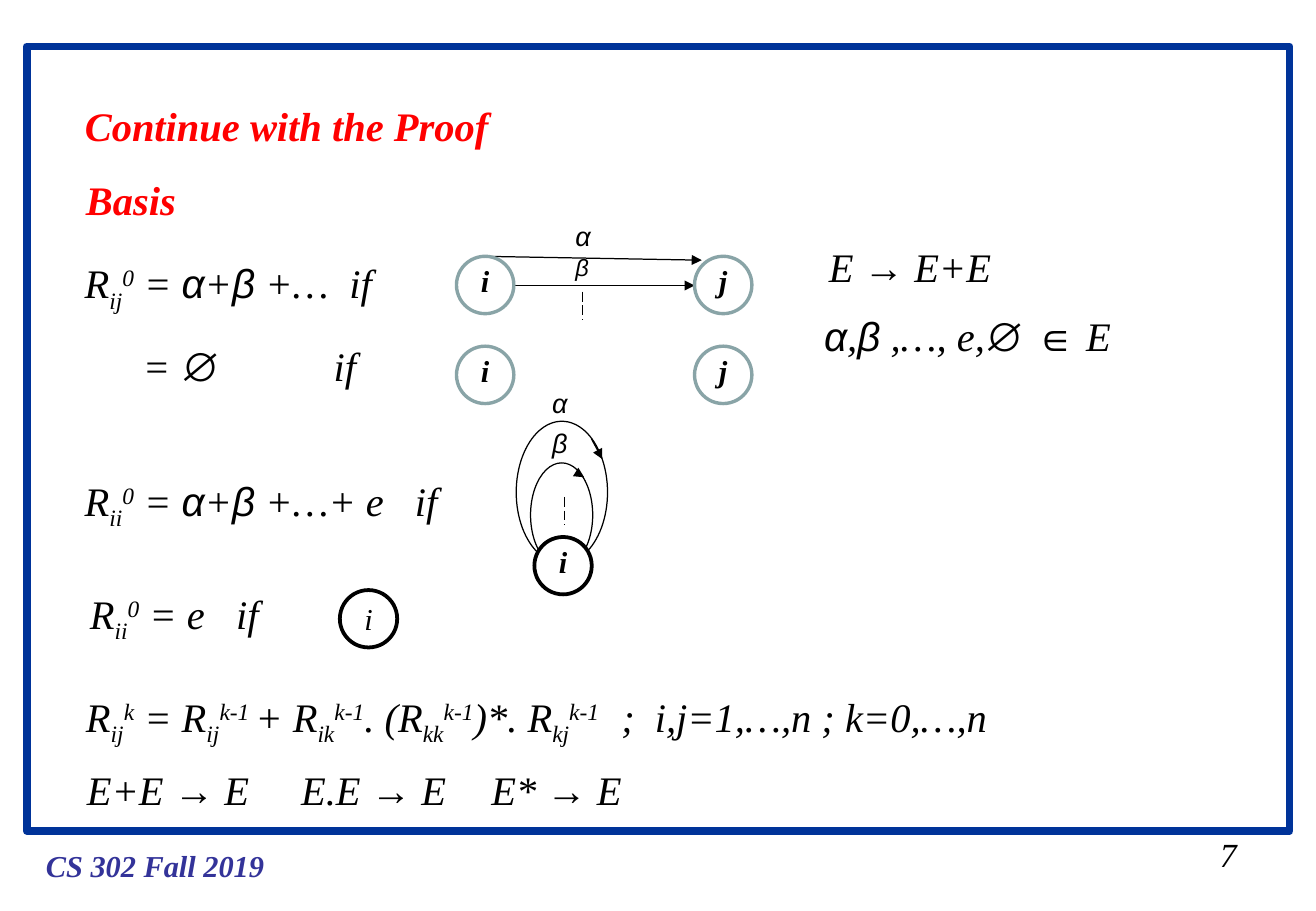
from dataclasses import dataclass
from itertools import groupby

from lxml import etree
from pptx import Presentation
from pptx.dml.color import RGBColor
from pptx.enum.dml import MSO_LINE
from pptx.enum.shapes import MSO_CONNECTOR, MSO_SHAPE
from pptx.enum.text import MSO_ANCHOR, MSO_AUTO_SIZE, PP_ALIGN
from pptx.oxml.ns import qn
from pptx.util import Cm, Pt

OVAL, RECT = MSO_SHAPE.OVAL, MSO_SHAPE.RECTANGLE
LEFT, CENTER = PP_ALIGN.LEFT, PP_ALIGN.CENTER
TOP, MIDDLE = MSO_ANCHOR.TOP, MSO_ANCHOR.MIDDLE
STRAIGHT, DASH = MSO_CONNECTOR.STRAIGHT, MSO_LINE.LONG_DASH
FIXED = MSO_AUTO_SIZE.NONE
TITLE_ONLY = 5
SUB, SUP = -25000, 30000
SYMBOLS = "αβ→∅∈"
NODE = 1.2


@dataclass(frozen=True)
class Theme:
    serif: str = "Times New Roman"
    sans: str = "Arial"
    ink: str = "000000"
    paper: str = "FFFFFF"
    head: str = "FF0000"
    frame: str = "003399"
    foot: str = "333399"
    ring: str = "89A4A7"
    body: int = 24
    page: int = 20
    label: int = 18
    greek: int = 16
    small: int = 14


THEME = Theme()


def color(code):
    return RGBColor.from_string(code)


def term(sub, sup):
    """Runs of R with a subscript and a superscript."""
    return [("R", 0), (sub, SUB), (sup, SUP)]


def write(frame, runs, size=THEME.body, ink=THEME.ink, bold=False,
          align=LEFT, anchor=TOP, wrap=True, space=None, tabs=()):
    """Fill a text frame; symbols take the sans font."""
    frame.auto_size, frame.word_wrap = FIXED, wrap
    frame.vertical_anchor = anchor
    para = frame.paragraphs[0]
    para.alignment = align
    if tabs:
        stops = etree.SubElement(para._p.get_or_add_pPr(), qn("a:tabLst"))
        for stop in tabs:
            etree.SubElement(stops, qn("a:tab"), pos=str(Cm(stop)), algn="l")
    if space:
        para.line_spacing = space
    for text, base in [(runs, 0)] if isinstance(runs, str) else runs:
        for sans, chars in groupby(text, lambda char: char in SYMBOLS):
            run = para.add_run()
            run.text = "".join(chars)
            font = run.font
            font.name = THEME.sans if sans else THEME.serif
            font.size, font.bold, font.italic = Pt(size), bold, True
            font.color.rgb = color(ink)
            if base:
                run._r.get_or_add_rPr().set("baseline", str(base))


def add_text(slide, runs, x, y, w=4, h=1.27, **style):
    box = slide.shapes.add_textbox(Cm(x), Cm(y), Cm(w), Cm(h))
    write(box.text_frame, runs, **style)


def add_title(slide, text, x, y, w, h, **style):
    title = slide.shapes.title
    title.left, title.top, title.width, title.height = map(Cm, (x, y, w, h))
    write(title.text_frame, text, **style)


def add_shape(slide, kind, x, y, w, h, ink=THEME.ink, width=0.75, fill=None):
    shape = slide.shapes.add_shape(kind, Cm(x), Cm(y), Cm(w), Cm(h))
    shape.shadow.inherit = False
    if fill:
        shape.fill.solid()
        shape.fill.fore_color.rgb = color(fill)
    else:
        shape.fill.background()
    shape.line.color.rgb = color(ink)
    shape.line.width = Pt(width)
    return shape


def add_node(slide, name, x, y, ink=THEME.ink, width=2.25, bold=True, lift=0.18):
    """Draw a state; lift raises its name above the centre."""
    node = add_shape(slide, OVAL, x, y, NODE, NODE, ink, width, THEME.paper)
    frame = node.text_frame
    frame.margin_left = frame.margin_right = frame.margin_top = 0
    frame.margin_bottom = Cm(lift)
    write(frame, name, size=THEME.label, bold=bold, align=CENTER,
          anchor=MIDDLE, wrap=False)


def add_line(slide, x1, y1, x2, y2, dash=False):
    """Draw an arrow, or a dashed line without a head."""
    line = slide.shapes.add_connector(STRAIGHT, Cm(x1), Cm(y1), Cm(x2), Cm(y2))
    line.line.color.rgb = color(THEME.ink)
    line.line.width = Pt(0.75)
    if dash:
        line.line.dash_style = DASH
    else:
        etree.SubElement(line.line._get_or_add_ln(), qn("a:tailEnd"), type="triangle")
    etree.SubElement(line._element.spPr, qn("a:effectLst"))


def add_edges(slide):
    """Draw the pair of states with edges and the pair without."""
    add_line(slide, 10.13, 5.36, 14.68, 5.44)
    add_line(slide, 10.74, 5.97, 14.53, 5.97)
    add_line(slide, 12.19, 6.1, 12.19, 6.68, dash=True)
    for y in (5.36, 7.24):
        for name, x in (("i", 9.55), ("j", 14.53)):
            add_node(slide, name, x, y, THEME.ring, 2)
    add_text(slide, "α", 11.79, 4.47, 0.9, 0.94, size=THEME.greek)
    add_text(slide, "β", 11.79, 5.16, 0.9, 0.94, size=THEME.small)


def add_loops(slide):
    add_shape(slide, OVAL, 10.8, 8.81, 1.91, 2.97)
    add_shape(slide, OVAL, 11.1, 9.68, 1.3, 2.18)
    add_line(slide, 11.81, 10.39, 11.81, 10.97, dash=True)
    add_line(slide, 12.37, 9.17, 12.6, 9.6)
    add_line(slide, 12.14, 9.93, 12.22, 9.98)
    add_node(slide, "i", 11.18, 11.23)
    for text, y in (("α", 7.95), ("β", 8.79)):
        add_text(slide, text, 11.3, y, 0.9, 0.94, size=THEME.greek)


def add_rules(slide):
    add_text(slide, term("ij", "0") + [(" = α+β +…\tif", 0)],
             1.52, 5.28, 7.6, 1.42, tabs=[5.54])
    add_text(slide, "= ∅\tif", 2.74, 7.01, 6.83, tabs=[3.99])
    add_text(slide, term("ii", "0") + [(" = α+β +…+ e\tif", 0)],
             1.52, 9.83, 8.97, 1.42, tabs=[6.91])
    add_text(slide, term("ii", "0") + [(" = e\tif", 0)],
             1.63, 12.19, 5.08, 1.42, tabs=[3.06])
    step = (term("ij", "k") + [(" = ", 0)] + term("ij", "k-1 ") + [("+ ", 0)]
            + term("ik", "k-1") + [(". (", 0)] + term("kk", "k-1")
            + [(")*. ", 0)] + term("kj", "k-1")
            + [("\t;\ti,j=1,…,n ; k=0,…,n", 0)])
    add_text(slide, step, 1.55, 13.77, 20.85, 2.01, space=1.5, tabs=[11.2, 11.9])
    for text, x in (("E+E → E", 1.57), ("E.E → E", 6.05), ("E* → E", 10.03)):
        add_text(slide, text, x, 15.88)
    add_text(slide, "E → E+E", 17.09, 4.93)
    add_text(slide, "α,β ,…, e,∅ ∈ E", 16.99, 6.38, 8)


def main():
    deck = Presentation()
    deck.slide_width, deck.slide_height = Cm(27.53), Cm(19.05)
    slide = deck.slides.add_slide(deck.slide_layouts[TITLE_ONLY])
    add_shape(slide, RECT, 0.56, 0.97, 26.42, 16.41, THEME.frame, 4.5)
    add_text(slide, "CS 302 Fall 2019", 0.71, 17.6, 5.3, 1.02,
             size=THEME.label, ink=THEME.foot, bold=True)
    add_text(slide, "7", 25.27, 17.32, 0.9, 1.12, size=THEME.page)
    add_title(slide, "Continue with the Proof", 1.52, 1.47, 11.13, 1.78,
              ink=THEME.head, bold=True, space=1.5)
    add_text(slide, "Basis", 1.55, 3.53, ink=THEME.head, bold=True)
    add_rules(slide)
    add_edges(slide)
    add_node(slide, "i", 7.11, 12.34, bold=False, lift=0)
    add_loops(slide)
    deck.save("out.pptx")


if __name__ == "__main__":
    main()
